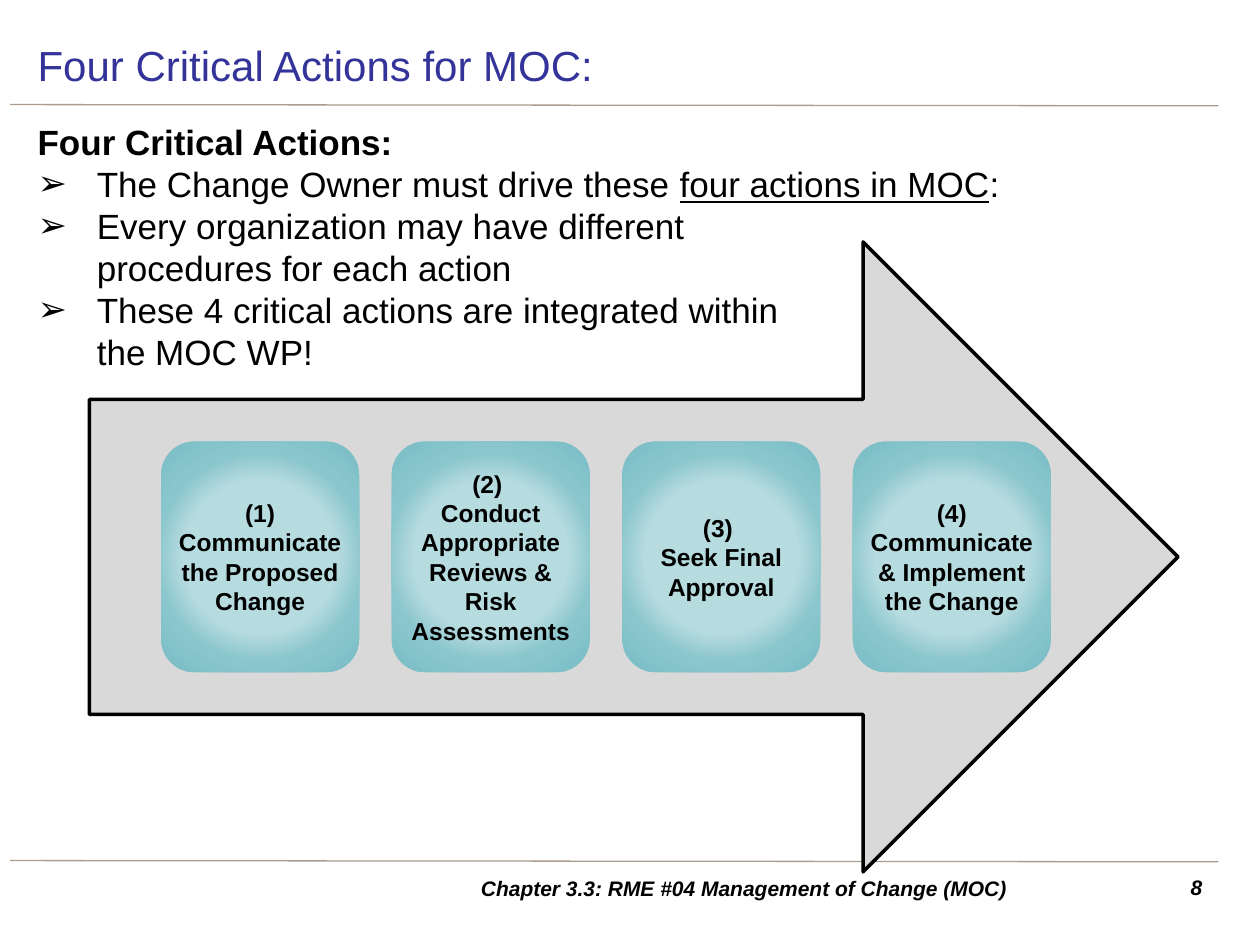
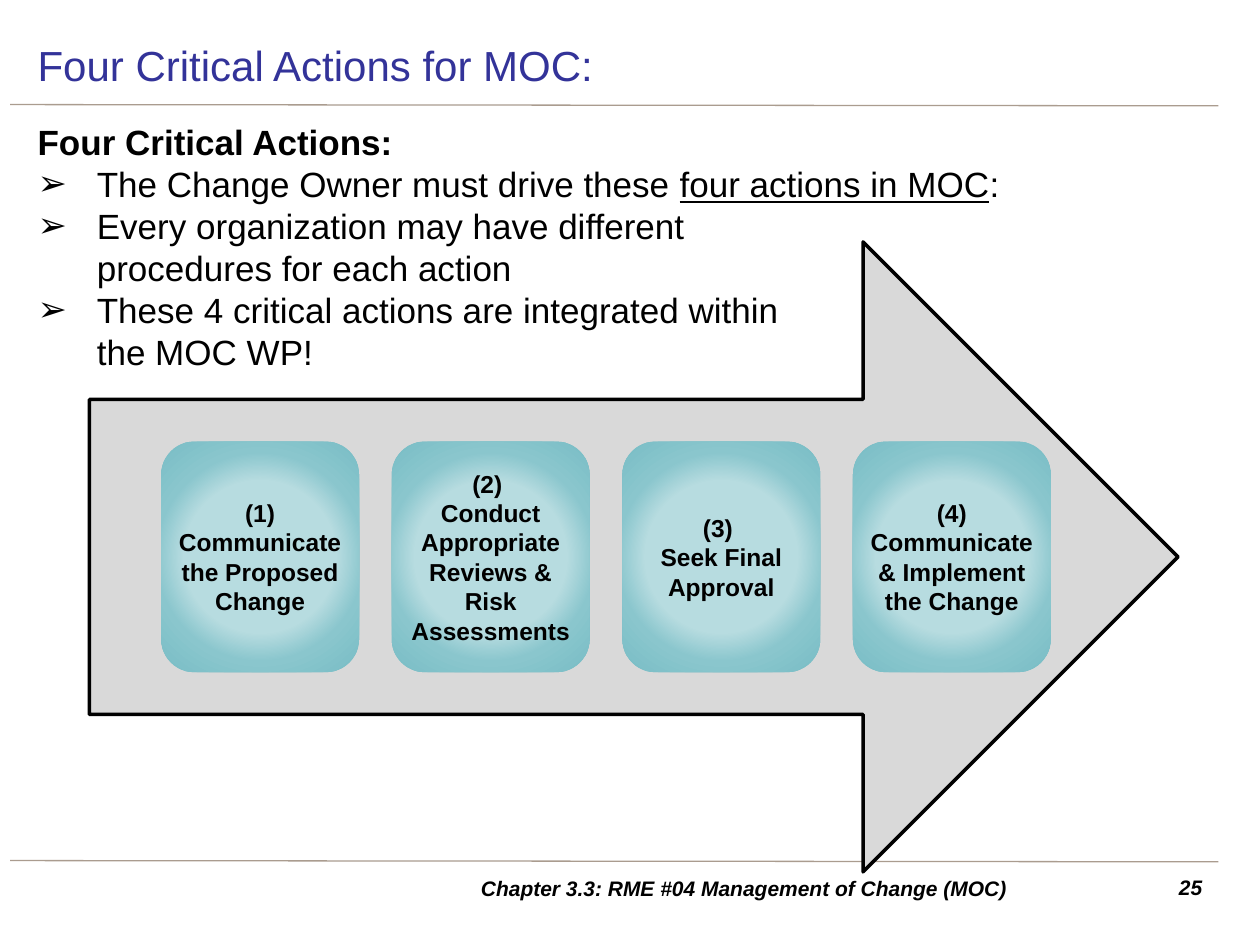
from lxml import etree
from pptx import Presentation
from pptx.dml.color import RGBColor
from pptx.enum.shapes import MSO_CONNECTOR, MSO_SHAPE
from pptx.enum.text import MSO_ANCHOR, PP_ALIGN
from pptx.oxml.ns import qn
from pptx.util import Inches, Pt

PAGE_NUMBERS = (8, 25)
TITLE = "Four Critical Actions for MOC:"
FOOTER = "Chapter 3.3: RME #04 Management of Change (MOC)"
HEADING = "Four Critical Actions:"
BULLETS = (
    ("The Change Owner must drive these ", "four actions in MOC", ":"),
    ("Every organization may have different \nprocedures for each action",),
    ("These 4 critical actions are integrated within \nthe MOC WP!",),
)
ACTIONS = (
    "(1)\nCommunicate the Proposed Change",
    "(2) \nConduct Appropriate Reviews & Risk Assessments",
    "(3) \nSeek Final Approval",
    "(4) Communicate & Implement the Change",
)

FONT = "Arial"
BLACK, WHITE, NAVY = "000000", "FFFFFF", "333399"
RULE_COLOR, ARROW_COLOR = "AA9C8F", "D9D9D9"
ACTION_STOPS = ((0, "B7DCE0"), (50, "B7DCE0"), (69, "8AC6CD"), (97, "7ABEC6"))

WIDTH, HEIGHT = 10, 7.5
MARGIN, CONTENT_WIDTH = 0.2, 9.45
RULE_LEFT, RULE_RIGHT = 0.08, 9.67
RULE_TOPS = (0.83, 6.83)
FOOTER_TOP, FOOTER_HEIGHT = 6.89, 0.31
ARROW = (0.71, 1.92, 8.64, 5)
CARD_LEFT, CARD_PITCH, CARD_WIDTH, CARD_HEIGHT = 1.28, 1.83, 1.57, 1.83
CARD_TOP = ARROW[1] + (ARROW[3] - CARD_HEIGHT) / 2
BULLET_INDENT = 0.47

LEFT, CENTER, RIGHT = PP_ALIGN.LEFT, PP_ALIGN.CENTER, PP_ALIGN.RIGHT
TOP, MIDDLE = MSO_ANCHOR.TOP, MSO_ANCHOR.MIDDLE


def color(value):
    return RGBColor.from_string(value)


def style(paragraph, size, ink=BLACK, bold=False, italic=False, align=LEFT):
    paragraph.alignment = align
    font = paragraph.font
    font.name, font.size = FONT, Pt(size)
    font.bold, font.italic = bold, italic
    font.color.rgb = color(ink)


def add_text_box(page, area):
    box = page.shapes.add_textbox(*map(Inches, area))
    box.text_frame.word_wrap = True
    return box


def add_preset(page, preset, area):
    shape = page.shapes.add_shape(preset, *map(Inches, area))
    shape.shadow.inherit = False
    shape.line.fill.background()
    return shape


def write(shape, text, size, anchor=TOP, **look):
    frame = shape.text_frame
    frame.word_wrap = True
    frame.vertical_anchor = anchor
    paragraph = frame.paragraphs[0]
    paragraph.text = text
    style(paragraph, size, **look)


def add_rule(page, top):
    rule = page.shapes.add_connector(
        MSO_CONNECTOR.STRAIGHT,
        *map(Inches, (RULE_LEFT, top, RULE_RIGHT, top + 0.01)),
    )
    rule.line.color.rgb = color(RULE_COLOR)
    rule.line.width = Pt(0.75)
    etree.SubElement(rule._element.spPr, qn("a:effectLst"))


def add_bullet(paragraph):
    properties = paragraph._p.get_or_add_pPr()
    properties.set("marL", str(Inches(BULLET_INDENT)))
    properties.set("indent", str(-Inches(BULLET_INDENT)))
    bullet_color = etree.SubElement(properties, qn("a:buClr"))
    etree.SubElement(bullet_color, qn("a:srgbClr"), val=BLACK)
    etree.SubElement(properties, qn("a:buFont"), typeface=FONT)
    etree.SubElement(properties, qn("a:buChar"), char="➢")


def fill_radial(shape, stops):
    shape.fill.background()
    properties = shape._element.spPr
    gradient = etree.Element(qn("a:gradFill"), rotWithShape="1")
    stop_list = etree.SubElement(gradient, qn("a:gsLst"))
    for position, value in stops:
        stop = etree.SubElement(stop_list, qn("a:gs"), pos=str(position * 1000))
        etree.SubElement(stop, qn("a:srgbClr"), val=value)
    circle = etree.SubElement(gradient, qn("a:path"), path="circle")
    center = dict.fromkeys("ltrb", "50000")
    etree.SubElement(circle, qn("a:fillToRect"), center)
    properties.replace(properties.find(qn("a:noFill")), gradient)


def add_body(page):
    frame = add_text_box(page, (MARGIN, 0.91, CONTENT_WIDTH, 5.83)).text_frame
    heading = frame.paragraphs[0]
    heading.text = HEADING
    style(heading, 20, bold=True)
    for lead, *rest in BULLETS:
        paragraph = frame.add_paragraph()
        paragraph.text = lead
        add_bullet(paragraph)
        style(paragraph, 20)
        for position, text in enumerate(rest):
            span = paragraph.add_run()
            span.text = text
            span.font.underline = position == 0


def add_title(page):
    band = add_preset(page, MSO_SHAPE.RECTANGLE, (MARGIN, 0.24, CONTENT_WIDTH, 0.55))
    band.fill.solid()
    band.fill.fore_color.rgb = color(WHITE)
    tint = band._element.spPr.find(qn("a:solidFill")).find(qn("a:srgbClr"))
    etree.SubElement(tint, qn("a:alpha"), val="70000")
    write(band, TITLE, 24, MIDDLE, ink=NAVY)


def add_footer(page, number):
    number_box = add_text_box(page, (9.06, FOOTER_TOP, 0.58, FOOTER_HEIGHT))
    write(number_box, str(number), 12, bold=True, italic=True, align=RIGHT)
    chapter_box = add_text_box(page, (2.95, FOOTER_TOP, 5.91, FOOTER_HEIGHT))
    write(chapter_box, FOOTER, 12, MIDDLE, bold=True, italic=True, align=CENTER)


def add_process(page):
    arrow = add_preset(page, MSO_SHAPE.RIGHT_ARROW, ARROW)
    arrow.fill.solid()
    arrow.fill.fore_color.rgb = color(ARROW_COLOR)
    arrow.line.color.rgb = color(BLACK)
    arrow.line.width = Pt(2)
    for column, action in enumerate(ACTIONS):
        left = CARD_LEFT + column * CARD_PITCH
        card = add_preset(
            page, MSO_SHAPE.ROUNDED_RECTANGLE, (left, CARD_TOP, CARD_WIDTH, CARD_HEIGHT)
        )
        fill_radial(card, ACTION_STOPS)
        frame = card.text_frame
        frame.margin_left = frame.margin_right = Inches(0.04)
        frame.margin_top = frame.margin_bottom = Inches(0.08)
        write(card, action, 14, MIDDLE, bold=True, align=CENTER)


def main():
    deck = Presentation()
    deck.slide_width, deck.slide_height = Inches(WIDTH), Inches(HEIGHT)
    for number in PAGE_NUMBERS:
        page = deck.slides.add_slide(deck.slide_layouts[6])
        for top in RULE_TOPS:
            add_rule(page, top)
        add_body(page)
        add_title(page)
        add_footer(page, number)
        add_process(page)
    deck.save("out.pptx")


if __name__ == "__main__":
    main()
